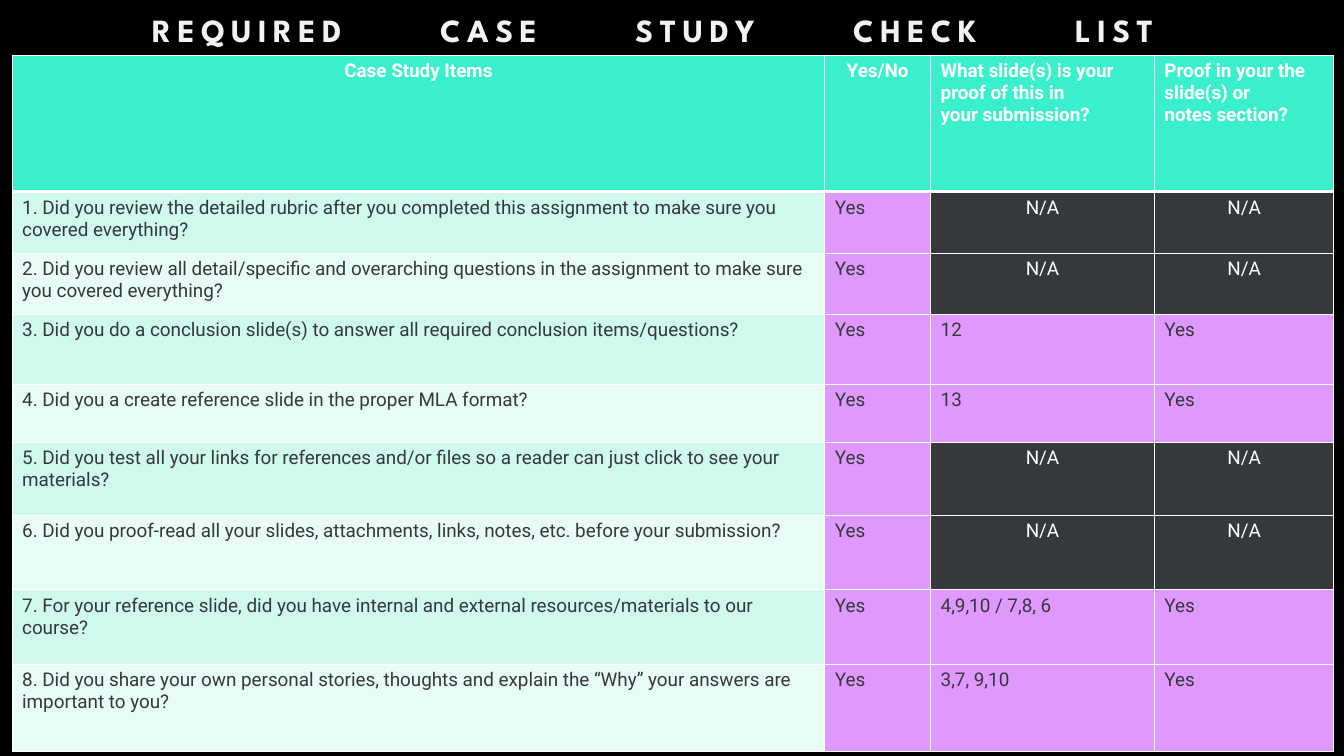
from pptx import Presentation
from pptx.dml.color import RGBColor as RGB
from pptx.enum.text import PP_ALIGN as Align
from pptx.oxml import parse_xml
from pptx.oxml.ns import nsdecls
from pptx.util import Inches as In, Pt

MINT, PALE, SOFT = "3AEFCC", "CEF9EC", "E8FCF6"
LILAC, DARK, WHITE = "DF98FD", "36393B", "FFFFFF"


def style(run, size, face, color, bold=False):
    font = run.font
    font.size, font.name, font.bold = Pt(size), face, bold
    font.color.rgb = RGB.from_string(color)


def edge(cell, sides):
    # Borders come before the fill in the cell properties
    props = cell._tc.get_or_add_tcPr()
    for i, (side, width) in enumerate(sides):
        props.insert(i, parse_xml(
            f'<a:ln{side} {nsdecls("a")} w="{Pt(width)}">'
            f'<a:solidFill><a:srgbClr val="{WHITE}"/></a:solidFill></a:ln{side}>'))


deck = Presentation()
deck.slide_width, deck.slide_height = In(13.33), In(7.5)
slide = deck.slides.add_slide(deck.slide_layouts[6])
back = slide.background.fill
back.solid()
back.fore_color.rgb = RGB.from_string("000000")

# Title: the closing line break lets the words spread over the full width
frame = slide.shapes.add_textbox(In(1.51), In(0.21), In(10), In(0.54)).text_frame
frame.word_wrap = True
frame.margin_left = frame.margin_right = frame.margin_top = frame.margin_bottom = 0
para = frame.paragraphs[0]
para.alignment, para.line_spacing = Align.JUSTIFY, 0.7
run = para.add_run()
run.text = "REQUIRED CASE STUDY CHECK LIST"
style(run, 23.1, "League Spartan", "F2F2F2", True)
run.font._element.set("spc", "450")
para.add_line_break()

# Check list: a tilde in the header marks a space that must not break
head = ["Case Study Items", "Yes/No",
        "What slide(s) is~your proof of~this in your~submission?",
        "Proof in your~the slide(s)~or notes~section?"]
items = [
    ("Did you review the detailed rubric after you completed this assignment "
     "to make sure you covered everything?", "N/A", "N/A"),
    ("Did you review all detail/specific and overarching questions in the "
     "assignment to make sure you covered everything?", "N/A", "N/A"),
    ("Did you do a conclusion slide(s) to answer all required conclusion "
     "items/questions?", "12", "Yes"),
    ("Did you a create reference slide in the proper MLA format?", "13", "Yes"),
    ("Did you test all your links for references and/or files so a reader can "
     "just click to see your materials?", "N/A", "N/A"),
    ("Did you proof-read all your slides, attachments, links, notes, etc. "
     "before your submission?", "N/A", "N/A"),
    ("For your reference slide, did you have internal and external "
     "resources/materials to our course?", "4,9,10 / 7,8, 6", "Yes"),
    ("Did you share your own personal stories, thoughts and explain the “Why” "
     "your answers are important to you?", "3,7, 9,10", "Yes"),
]
rows = [[text.replace("~", chr(160)) for text in head]]
rows += [[f"{n}. {ask}", "Yes", where, proof]
         for n, (ask, where, proof) in enumerate(items, 1)]
wide = [8.06, 1.05, 2.22, 1.78]
tall = [1.35, 0.61, 0.61, 0.69, 0.58, 0.72, 0.74, 0.74, 0.87]

table = slide.shapes.add_table(len(tall), len(wide), In(0.12), In(0.55),
                               In(sum(wide)), In(sum(tall))).table
for col, size in zip(table.columns, wide):
    col.width = In(size)
for row, size in zip(table.rows, tall):
    row.height = In(size)

for r, row in enumerate(rows):
    for c, text in enumerate(row):
        top = r == 0
        none = text == "N/A"
        if top:
            fill = MINT
        elif c == 0:
            fill = PALE if r % 2 else SOFT
        else:
            fill = DARK if none else LILAC
        cell = table.cell(r, c)
        cell.fill.solid()
        cell.fill.fore_color.rgb = RGB.from_string(fill)
        edge(cell, [("L", 0.75), ("R", 0.75), ("T", 1.85 if r == 1 else 0.75),
                    ("B", 1.85 if top else 0.75)])
        para = cell.text_frame.paragraphs[0]
        para.alignment = Align.CENTER if none or (top and c < 2) else Align.LEFT
        run = para.add_run()
        run.text = text
        style(run, 13.5, "Roboto", WHITE if top or none else DARK, top)

deck.save("out.pptx")
